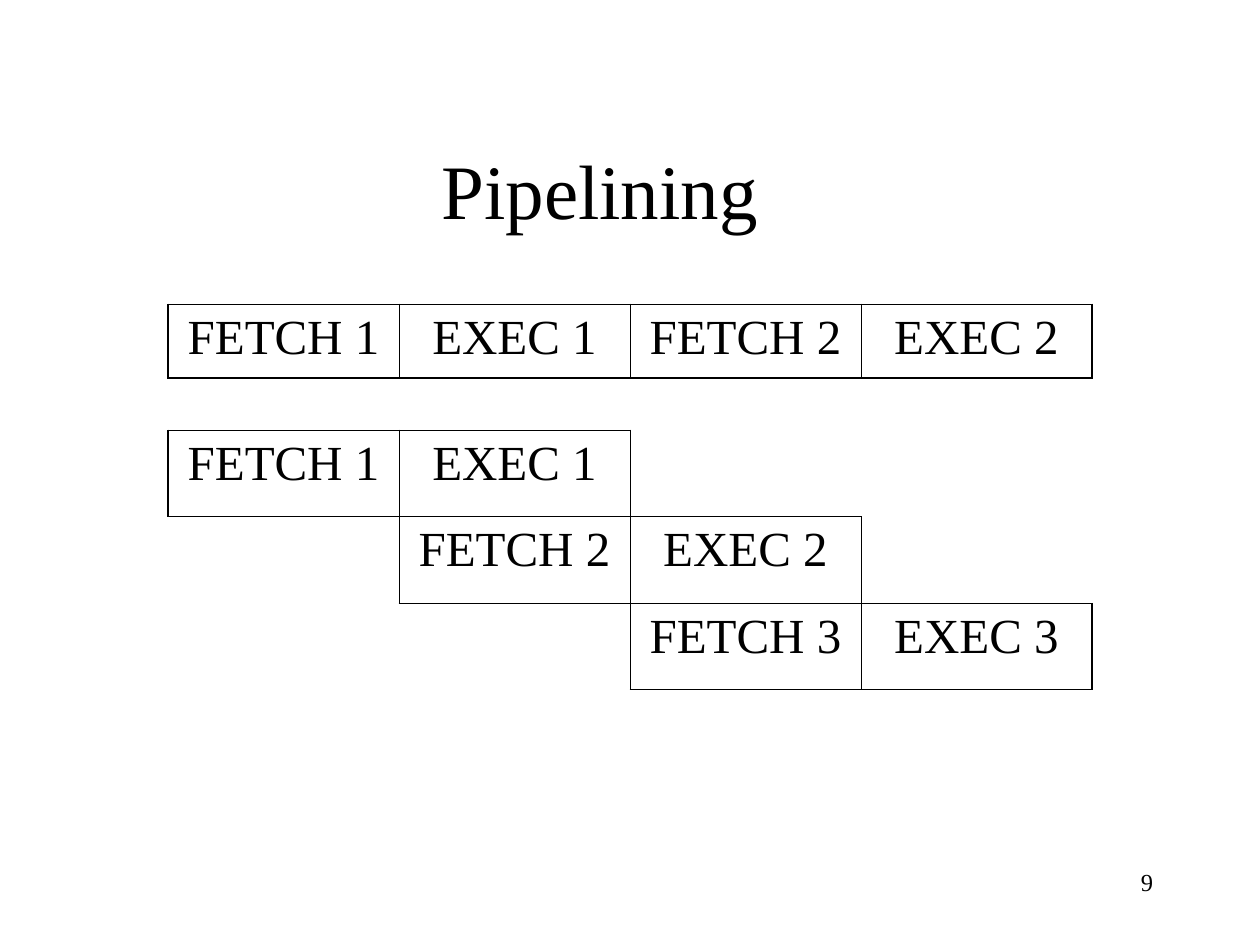
"""Build the slide that compares sequential and pipelined execution."""
import pptx
import pptx.dml.color
import pptx.enum.text
import pptx.oxml
import pptx.oxml.ns
import pptx.util

Pt = pptx.util.Pt
ALIGN = pptx.enum.text.PP_ALIGN
ANCHOR = pptx.enum.text.MSO_ANCHOR

THEME = {
    "font": "Times New Roman",
    "ink": "000000",
    "title": 44,
    "stage": 28,
    "number": 14,
    "outer_line": 1.08,
    "inner_line": 0.45,
}

TEXTS = [
    ("Pipelining", (36, 48, 613.5, 90), "title", ALIGN.CENTER, ANCHOR.BOTTOM),
    ("9", (516, 492, 150, 36), "number", ALIGN.RIGHT, ANCHOR.TOP),
]

SEQUENTIAL = [["FETCH 1", "EXEC 1", "FETCH 2", "EXEC 2"]]
PIPELINED = [
    ["FETCH 1", "EXEC 1", "", ""],
    ["", "FETCH 2", "EXEC 2", ""],
    ["", "", "FETCH 3", "EXEC 3"],
]
TABLES = [(SEQUENTIAL, 174, 42), (PIPELINED, 246, 49.33)]
TABLE_LEFT, COLUMN_WIDTH = 96, 132
SIDES = {"lnL": (0, -1), "lnR": (0, 1), "lnT": (-1, 0), "lnB": (1, 0)}


def write(paragraph, text, size, alignment):
    paragraph.text = text
    paragraph.alignment = alignment
    paragraph.font.name = THEME["font"]
    paragraph.font.size = Pt(THEME[size])
    paragraph.font.color.rgb = pptx.dml.color.RGBColor.from_string(THEME["ink"])


def add_text(slide, text, box, size, alignment, anchor):
    frame = slide.shapes.add_textbox(*map(Pt, box)).text_frame
    frame.word_wrap = True
    frame.vertical_anchor = anchor
    write(frame.paragraphs[0], text, size, alignment)


def add_border(cell, side, width):
    if width:
        paint = f'<a:solidFill><a:srgbClr val="{THEME["ink"]}"/></a:solidFill>'
    else:
        paint = "<a:noFill/>"
    namespace = pptx.oxml.ns.nsdecls("a")
    line = f'<a:{side} {namespace} w="{int(Pt(width))}">{paint}</a:{side}>'
    cell._tc.get_or_add_tcPr().append(pptx.oxml.parse_xml(line))


def border_width(stages, row, column, step):
    near_row, near_column = row + step[0], column + step[1]
    inside = 0 <= near_row < len(stages) and 0 <= near_column < len(stages[0])
    if not (stages[row][column] or inside and stages[near_row][near_column]):
        return 0
    return THEME["inner_line" if inside else "outer_line"]


def add_stages(slide, stages, top, row_height):
    row_count, column_count = len(stages), len(stages[0])
    table = slide.shapes.add_table(
        row_count, column_count, Pt(TABLE_LEFT), Pt(top),
        Pt(COLUMN_WIDTH * column_count), Pt(row_height * row_count),
    ).table
    table.first_row = table.horz_banding = False
    for table_column in table.columns:
        table_column.width = Pt(COLUMN_WIDTH)
    for row, labels in enumerate(stages):
        table.rows[row].height = Pt(row_height)
        for column, label in enumerate(labels):
            cell = table.cell(row, column)
            for side, step in SIDES.items():
                add_border(cell, side, border_width(stages, row, column, step))
            cell.fill.background()
            if label:
                write(cell.text_frame.paragraphs[0], label, "stage", ALIGN.CENTER)


def main():
    presentation = pptx.Presentation()
    presentation.slide_width, presentation.slide_height = Pt(720), Pt(540)
    slide = presentation.slides.add_slide(presentation.slide_layouts[6])
    title, number = TEXTS
    add_text(slide, *title)
    for table in TABLES:
        add_stages(slide, *table)
    add_text(slide, *number)
    presentation.save("out.pptx")


if __name__ == "__main__":
    main()
